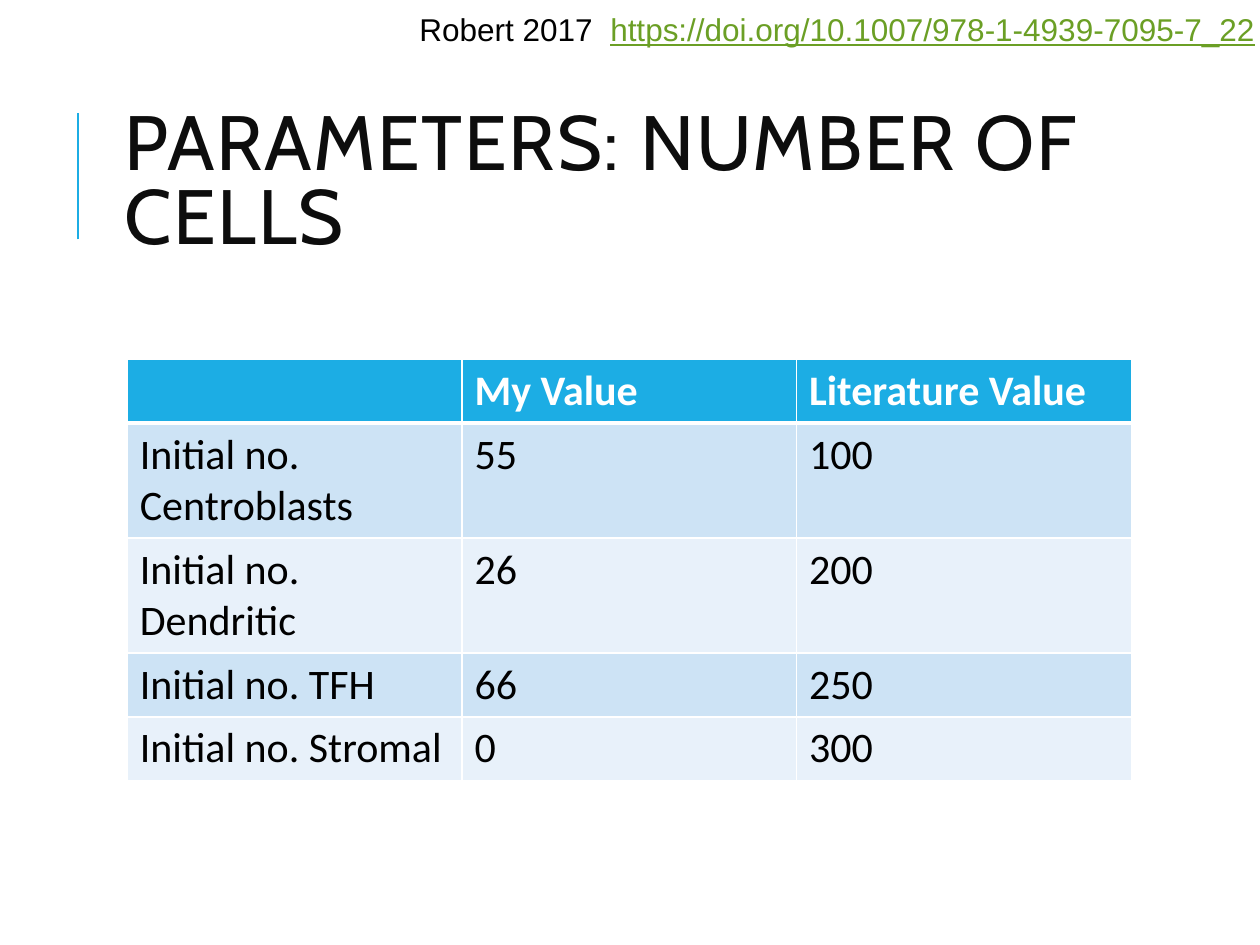
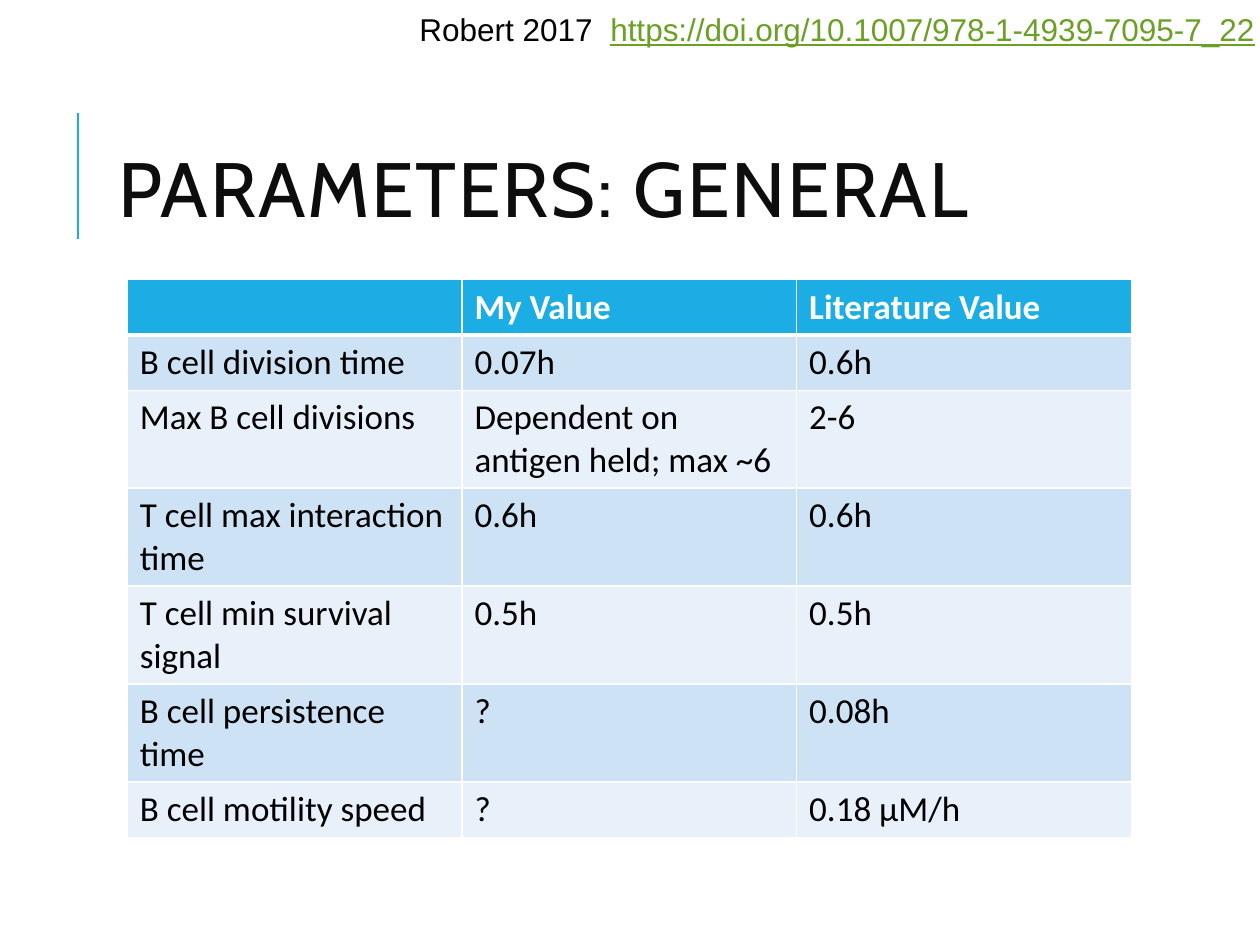
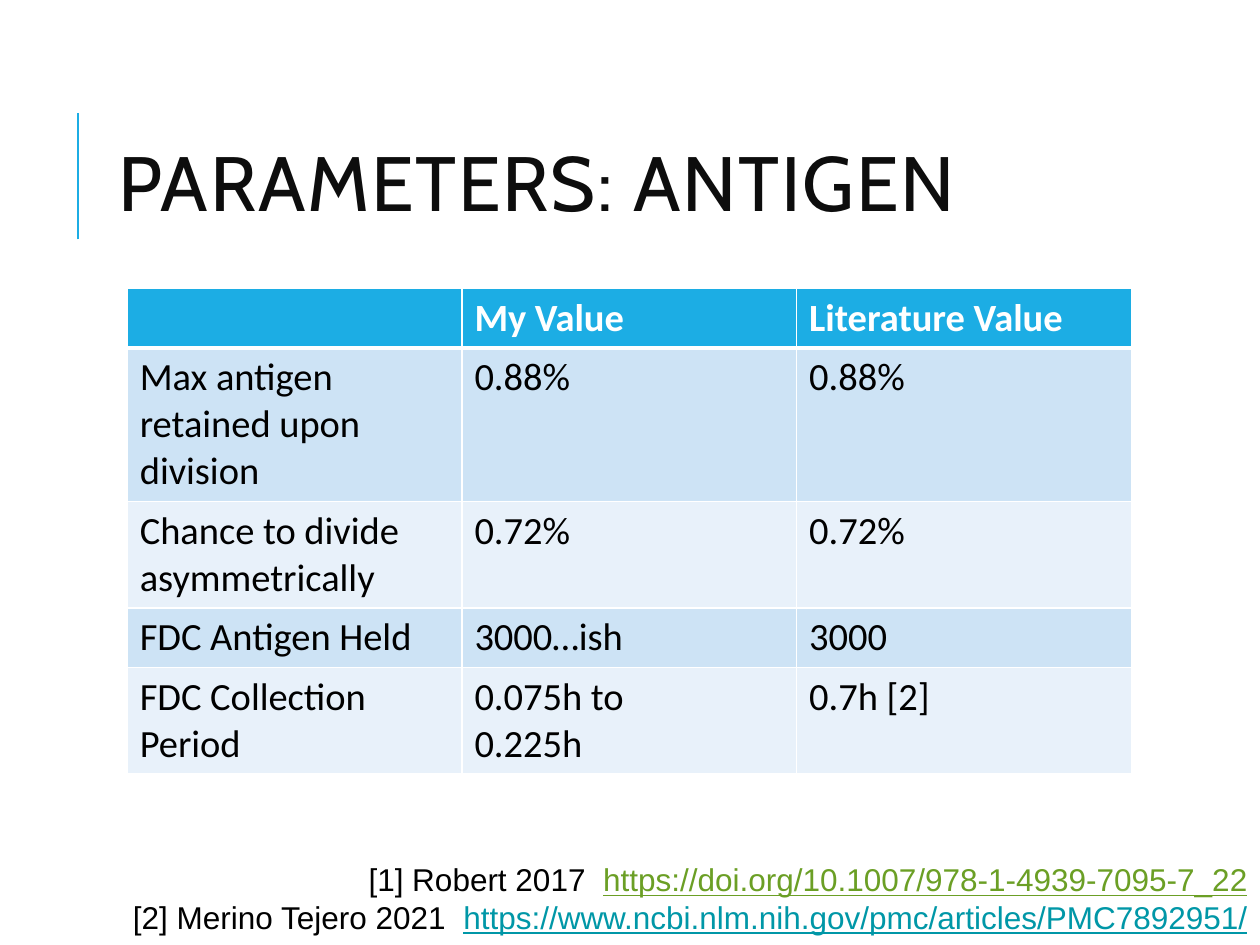
from pptx import Presentation
from pptx.dml.color import RGBColor
from pptx.enum import shapes, text
from pptx.oxml import parse_xml
from pptx.oxml.ns import nsdecls
from pptx.util import Inches, Pt

BLUE, WHITE, BLACK, INK = "1CADE4", "FFFFFF", "000000", "0D0D0D"
BANDS = ["CDE3F5", "E8F1FA"]
GREEN, TEAL = "6B9F25", "0097A7"
DOI = "https://doi.org/10.1007/978-1-4939-7095-7_22"
PMC = "https://www.ncbi.nlm.nih.gov/pmc/articles/PMC7892951/"
HEADS = ["", "My Value", "Literature Value"]


def color(code):
    return RGBColor.from_string(code)


class Deck:
    def __init__(self):
        self.prs = Presentation()
        self.prs.slide_width = Inches(10)
        self.prs.slide_height = Inches(7.5)
        self.slide = None

    def style(self, run, face, size, tint, bold=False, line=False):
        font = run.font
        font.name, font.size = face, Pt(size)
        font.bold, font.underline = bold, line
        font.color.rgb = color(tint)

    def box(self, left, top, width, height):
        box = self.slide.shapes.add_textbox(
            Inches(left), Inches(top), Inches(width), Inches(height))
        box.text_frame.word_wrap = True
        return box.text_frame

    def page(self, title, left, top):
        self.slide = self.prs.slides.add_slide(self.prs.slide_layouts[6])
        self.rule()
        frame = self.box(left, top, 7.97, 1.34)
        frame.vertical_anchor = text.MSO_ANCHOR.MIDDLE
        frame.text = title
        para = frame.paragraphs[0]
        para.line_spacing = 0.8
        run = para.runs[0]
        self.style(run, "Cabin", 44, INK)
        run.font._element.set("spc", "100")

    def rule(self):
        line = self.slide.shapes.add_connector(
            shapes.MSO_CONNECTOR.STRAIGHT,
            Inches(0.62), Inches(1.9), Inches(0.62), Inches(0.9))
        line.line.color.rgb = color(BLUE)
        line.line.width = Pt(1.5)
        line._element.spPr.append(parse_xml(f"<a:effectLst {nsdecls('a')}/>"))

    def border(self, cell, row):
        widths = {"L": 1, "R": 1, "T": 3 if row == 1 else 1, "B": 3 if row == 0 else 1}
        props = cell._tc.get_or_add_tcPr()
        for side, width in widths.items():
            props.append(parse_xml(
                f'<a:ln{side} {nsdecls("a")} w="{Pt(width)}"><a:solidFill>'
                f'<a:srgbClr val="{WHITE}"/></a:solidFill></a:ln{side}>'))

    def table(self, top, size, lines, rows):
        rows = [HEADS] + rows
        highs = [Inches(count * size * 1.22 / 72 + 0.1) for count in [1] + lines]
        grid = self.slide.shapes.add_table(
            len(rows), len(HEADS), Inches(1.01), Inches(top),
            Inches(7.97), sum(highs)).table
        grid.horz_banding = False
        for r, (row, high) in enumerate(zip(rows, highs)):
            grid.rows[r].height = high
            for c, words in enumerate(row):
                self.cell(grid.cell(r, c), r, words, size)

    def cell(self, cell, row, words, size):
        self.border(cell, row)
        cell.fill.solid()
        cell.fill.fore_color.rgb = color(BANDS[(row - 1) % 2] if row else BLUE)
        cell.text_frame.text = words
        for para in cell.text_frame.paragraphs:
            for run in para.runs:
                self.style(run, "Calibri", size, BLACK if row else WHITE, bold=row == 0)

    def cite(self, place, refs, align=text.PP_ALIGN.LEFT):
        frame = self.box(*place)
        for i, (label, link, tint) in enumerate(refs):
            para = frame.add_paragraph() if i else frame.paragraphs[0]
            para.alignment = align
            para.text = label + "  "
            self.style(para.runs[0], "Arial", 18, BLACK)
            run = para.add_run()
            run.text = link
            self.style(run, "Arial", 18, tint, line=True)


def main():
    deck = Deck()
    source = [("Robert 2017", DOI, GREEN)]
    corner = (3.23, 0.03, 7.65, 0.37)

    deck.page("PARAMETERS: NUMBER OF CELLS", 0.89, 0.8)
    deck.table(2.85, 24, [2, 2, 1, 1], [
        ["Initial no. Centroblasts", "55", "100"],
        ["Initial no. Dendritic", "26", "200"],
        ["Initial no. TFH", "66", "250"],
        ["Initial no. Stromal", "0", "300"],
    ])
    deck.cite(corner, source)

    deck.page("PARAMETERS: GENERAL", 0.84, 0.88)
    deck.table(2.22, 20, [1, 2, 2, 2, 2, 1], [
        ["B cell division time", "0.07h", "0.6h"],
        ["Max B cell divisions", "Dependent on antigen held; max ~6", "2-6"],
        ["T cell max interaction time", "0.6h", "0.6h"],
        ["T cell min survival signal", "0.5h", "0.5h"],
        ["B cell persistence time", "?", "0.08h"],
        ["B cell motility speed", "?", "0.18 μM/h"],
    ])
    deck.cite(corner, source)

    deck.page("PARAMETERS: ANTIGEN", 0.84, 0.83)
    deck.table(2.29, 22, [3, 2, 1, 2], [
        ["Max antigen retained upon division", "0.88%", "0.88%"],
        ["Chance to divide asymmetrically", "0.72%", "0.72%"],
        ["FDC Antigen Held", "3000…ish", "3000"],
        ["FDC Collection Period", "0.075h to\n0.225h", "0.7h [2]"],
    ])
    deck.cite((0.21, 6.78, 9.79, 1.01), [
        ("[1] Robert 2017", DOI, GREEN),
        ("[2] Merino Tejero 2021", PMC, TEAL),
    ], text.PP_ALIGN.RIGHT)

    deck.prs.save("out.pptx")


if __name__ == "__main__":
    main()
